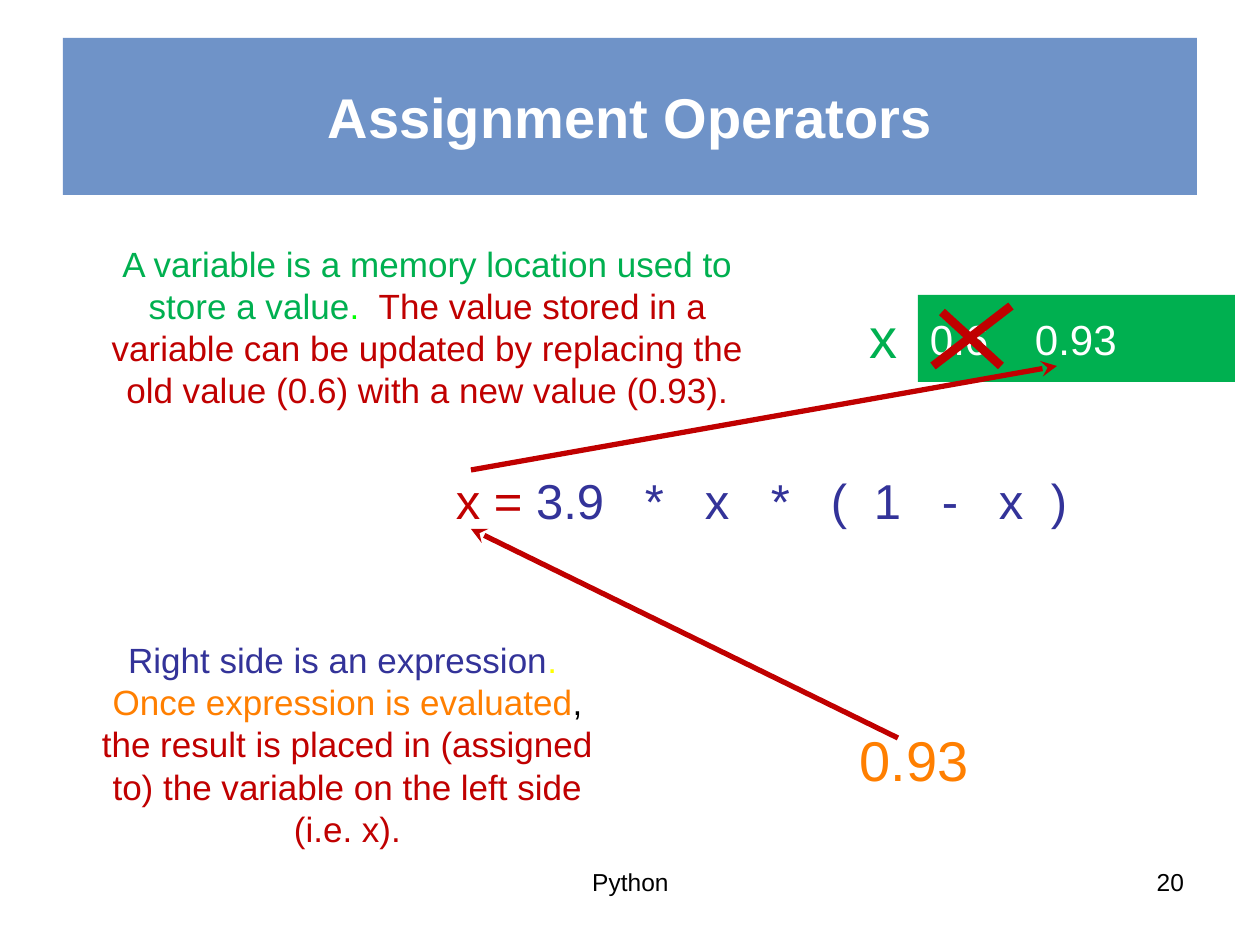
"""Build a slide that explains how assignment operators update a variable."""
from dataclasses import dataclass
from typing import Optional

from lxml.etree import SubElement
from pptx import Presentation
from pptx.dml.color import RGBColor
from pptx.enum.shapes import MSO_CONNECTOR as Connector, MSO_SHAPE as Preset
from pptx.enum.text import MSO_ANCHOR as Anchor, PP_ALIGN as Align
from pptx.oxml.ns import qn
from pptx.slide import Slide
from pptx.util import Emu, Pt

PX = 914400 / 126
FONT = "Arial"
COLORS = {
    "banner": "4775B9",
    "memory": "00B050",
    "update": "C00000",
    "expression": "333399",
    "result": "FF7F00",
    "lime": "00FF00",
    "yellow": "FFFF00",
    "white": "FFFFFF",
    "black": "000000",
}


@dataclass(frozen=True)
class Label:
    box: tuple[int, int, int, int]
    size: int
    phrases: tuple[tuple[str, str], ...]
    align: Align = Align.CENTER
    anchor: Anchor = Anchor.MIDDLE
    inset: tuple[int, int] = (0, 0)
    wrap: bool = True
    bold: bool = False
    fill: Optional[str] = None
    opacity: int = 100
    tabs: tuple[int, ...] = ()


@dataclass(frozen=True)
class Stroke:
    start: tuple[int, int]
    end: tuple[int, int]
    weight: int
    arrow: bool = False


LABELS = (
    Label((918, 295, 317, 87), 24, (("0.6\t0.93", "white"),), Align.LEFT,
          inset=(12, 0), fill="memory", tabs=(105,)),
    Label((63, 38, 1134, 157), 32, (("Assignment Operators", "white"),),
          inset=(13, 6), bold=True, fill="banner", opacity=78),
    Label((870, 303, 28, 67), 32, (("x", "memory"),), wrap=False),
    Label((94, 670, 507, 148), 20, (
        ("Right side is an expression", "expression"),
        (".  ", "yellow"),
        ("Once expression is evaluated", "result"),
        (", ", "black"),
        ("the result is placed in (assigned to) the variable on the left side (i.e. x).", "update"),
    )),
    Label((859, 726, 110, 67), 32, (("0.93", "result"),), wrap=False),
    Label((94, 235, 667, 183), 20, (
        ("A variable is a memory location used to store a value", "memory"),
        (".  ", "lime"),
        ("The value stored in a variable can be updated by replacing "
         "the old value (0.6) with a new value (0.93).", "update"),
    )),
    Label((456, 470, 620, 59), 28, (
        ("x = ", "update"),
        ("3.9\t*\tx\t*\t(\t1\t-\tx\t)", "expression"),
    ), Align.LEFT, tabs=(189, 249, 315, 375, 418, 486, 543, 595)),
    Label((903, 861, 294, 66), 14, (("20", "black"),), Align.RIGHT, Anchor.TOP, (13, 6)),
    Label((431, 861, 399, 66), 14, (("Python", "black"),), Align.CENTER, Anchor.TOP, (13, 6)),
)
STROKES = (
    Stroke((898, 738), (471, 529), 3, arrow=True),
    Stroke((471, 470), (1057, 366), 3, arrow=True),
    Stroke((1011, 306), (933, 366), 5),
    Stroke((942, 312), (1001, 366), 5),
)


def px(length: int) -> Emu:
    """Turn pixels into EMU."""
    return Emu(round(length * PX))


def color(name: str) -> RGBColor:
    """Look up a named colour."""
    return RGBColor.from_string(COLORS[name])


def draw_label(slide: Slide, label: Label) -> None:
    """Draw one text, with a filled rectangle behind it if it has a fill."""
    place = [px(length) for length in label.box]
    if label.fill:
        holder = slide.shapes.add_shape(Preset.RECTANGLE, *place)
        holder.shadow.inherit = False
        holder.line.fill.background()
        holder.fill.solid()
        holder.fill.fore_color.rgb = color(label.fill)
        if label.opacity < 100:
            tint = holder._element.spPr.find(qn("a:solidFill"))[0]
            SubElement(tint, qn("a:alpha"), val=str(label.opacity * 1000))
    else:
        holder = slide.shapes.add_textbox(*place)
    frame = holder.text_frame
    frame.word_wrap = label.wrap
    frame.vertical_anchor = label.anchor
    across, down = (px(length) for length in label.inset)
    frame.margin_left = frame.margin_right = across
    frame.margin_top = frame.margin_bottom = down
    paragraph = frame.paragraphs[0]
    paragraph.alignment = label.align
    if label.tabs:
        stops = SubElement(paragraph._p.get_or_add_pPr(), qn("a:tabLst"))
        for stop in label.tabs:
            SubElement(stops, qn("a:tab"), pos=str(px(stop)), algn="l")
    for words, ink in label.phrases:
        run = paragraph.add_run()
        run.text = words
        run.font.name = FONT
        run.font.size = Pt(label.size)
        run.font.bold = label.bold
        run.font.color.rgb = color(ink)


def draw_stroke(slide: Slide, stroke: Stroke) -> None:
    """Draw one straight line, with an arrowhead at its end if asked."""
    ends = [px(length) for length in stroke.start + stroke.end]
    connector = slide.shapes.add_connector(Connector.STRAIGHT, *ends)
    connector.line.width = Pt(stroke.weight)
    connector.line.color.rgb = color("update")
    properties = connector._element.spPr
    if stroke.arrow:
        SubElement(properties.find(qn("a:ln")), qn("a:tailEnd"), type="stealth")
    SubElement(properties, qn("a:effectLst"))


def main() -> None:
    """Build and save the slide."""
    deck = Presentation()
    deck.slide_width, deck.slide_height = px(1260), px(945)
    slide = deck.slides.add_slide(deck.slide_layouts[6])
    for label in LABELS:
        draw_label(slide, label)
    for stroke in STROKES:
        draw_stroke(slide, stroke)
    deck.save("out.pptx")


if __name__ == "__main__":
    main()
